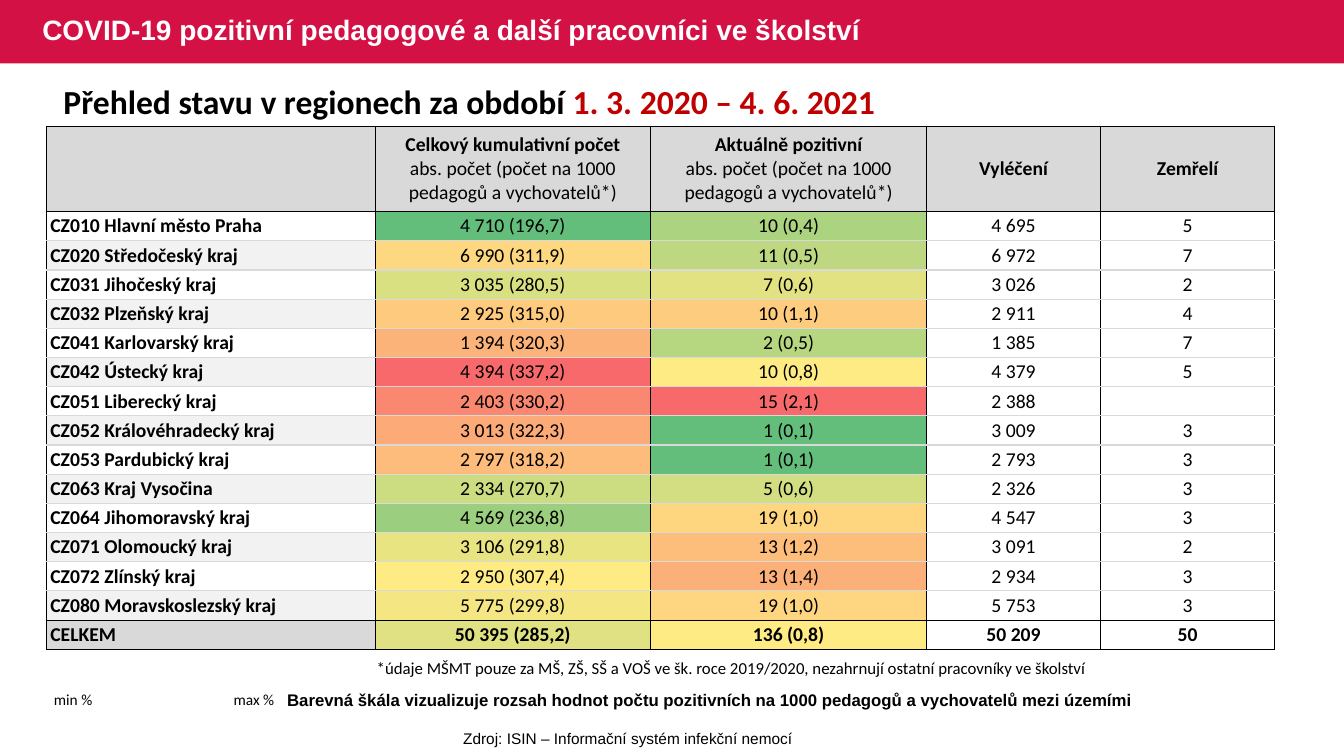
from lxml.etree import SubElement
from pptx import Presentation
from pptx.dml.color import RGBColor
from pptx.enum.shapes import MSO_SHAPE
from pptx.enum.text import MSO_ANCHOR, PP_ALIGN
from pptx.oxml.ns import qn
from pptx.util import Pt

COLORS = {
    "band": "D31145", "white": "FFFFFF", "black": "000000", "period": "C00000",
    "header": "D9D9D9", "stripe": "F2F2F2", "rule": "D9D9D9",
}
PLAIN_TABLE_STYLE = "{2D5ABB26-0587-4C30-8999-92F81FD0307C}"
HEADER_HEIGHT, ROW_HEIGHT = 61.2, 20.85
COLUMN_WIDTHS = [234.9, 197, 197, 124.3, 124.3]
RATE_NOTE = "abs. počet (počet na 1000 pedagogů a vychovatelů*)"
HEADERS = [
    [], ["Celkový kumulativní počet", RATE_NOTE], ["Aktuálně pozitivní", RATE_NOTE],
    ["Vyléčení"], ["Zemřelí"],
]
# Region, cumulative, currently positive, recovered, deceased, two scale colours
REGIONS = [
    ("CZ010 Hlavní město Praha", "4 710 (196,7)", "10 (0,4)", "4 695", "5", "63BE7B", "ACD37F"),
    ("CZ020 Středočeský kraj", "6 990 (311,9)", "11 (0,5)", "6 972", "7", "FED881", "BDD880"),
    ("CZ031 Jihočeský kraj", "3 035 (280,5)", "7 (0,6)", "3 026", "2", "D9E081", "E2E282"),
    ("CZ032 Plzeňský kraj", "2 925 (315,0)", "10 (1,1)", "2 911", "4", "FECA7E", "FECC7F"),
    ("CZ041 Karlovarský kraj", "1 394 (320,3)", "2 (0,5)", "1 385", "7", "FCB37A", "B6D67F"),
    ("CZ042 Ústecký kraj", "4 394 (337,2)", "10 (0,8)", "4 379", "5", "F8696B", "FFEB84"),
    ("CZ051 Liberecký kraj", "2 403 (330,2)", "15 (2,1)", "2 388", "", "FA8871", "F8696B"),
    ("CZ052 Královéhradecký kraj", "3 013 (322,3)", "1 (0,1)", "3 009", "3", "FCAA78", "63BE7B"),
    ("CZ053 Pardubický kraj", "2 797 (318,2)", "1 (0,1)", "2 793", "3", "FDBC7B", "64BE7B"),
    ("CZ063 Kraj Vysočina", "2 334 (270,7)", "5 (0,6)", "2 326", "3", "CBDC81", "D2DE81"),
    ("CZ064 Jihomoravský kraj", "4 569 (236,8)", "19 (1,0)", "4 547", "3", "9BCE7E", "FED680"),
    ("CZ071 Olomoucký kraj", "3 106 (291,8)", "13 (1,2)", "3 091", "2", "E9E482", "FDBE7C"),
    ("CZ072 Zlínský kraj", "2 950 (307,4)", "13 (1,4)", "2 934", "3", "FFEB84", "FCB079"),
    ("CZ080 Moravskoslezský kraj", "5 775 (299,8)", "19 (1,0)", "5 753", "3", "F4E783", "FED580"),
    ("CELKEM", "50 395 (285,2)", "136 (0,8)", "50 209", "50", "DFE182", "FFEB84"),
]


def style_font(font, name, size, color="black", bold=False):
    font.name, font.size, font.bold = name, Pt(size), bold
    font.color.rgb = RGBColor.from_string(COLORS[color])


def fill_with(item, color):
    item.fill.solid()
    item.fill.fore_color.rgb = RGBColor.from_string(color)


def add_title_band(slide, width, height):
    band = slide.shapes.add_shape(MSO_SHAPE.RECTANGLE, 0, 0, Pt(width), Pt(height))
    band.shadow.inherit = False
    fill_with(band, COLORS["band"])
    band.line.fill.background()
    slide.shapes._spTree.insert(2, band._element)

    title = slide.shapes.title
    title.left, title.top, title.width, title.height = Pt(23), Pt(0), Pt(613.4), Pt(height)
    frame = title.text_frame
    frame.text = "COVID-19 pozitivní pedagogové a další pracovníci ve školství"
    frame.vertical_anchor = MSO_ANCHOR.MIDDLE
    paragraph = frame.paragraphs[0]
    paragraph.alignment, paragraph.line_spacing = PP_ALIGN.LEFT, 0.9
    style_font(paragraph.font, "Arial", 20, "white", True)


def add_text(slide, box, text, name, size, bold=False, alignment=PP_ALIGN.LEFT):
    shape = slide.shapes.add_textbox(*map(Pt, box))
    shape.text_frame.word_wrap = True
    paragraph = shape.text_frame.paragraphs[0]
    paragraph.text = text
    paragraph.alignment = alignment
    style_font(paragraph.font, name, size, bold=bold)
    return shape


def add_scale_legend(slide, box):
    """Place the two ends of the scale at the sides of the box."""
    shape = slide.shapes.add_textbox(*map(Pt, box))
    frame = shape.text_frame
    frame.margin_left = frame.margin_right = Pt(5.5)
    frame.margin_top = frame.margin_bottom = 0
    paragraph = frame.paragraphs[0]
    paragraph.text = "min %\tmax %"
    tabs = SubElement(paragraph._p.get_or_add_pPr(), qn("a:tabLst"))
    SubElement(tabs, qn("a:tab"), pos=str(Pt(box[2] - 11)), algn="r")
    style_font(paragraph.font, "Calibri", 11)
    frame.word_wrap = True


def add_plain_table(slide, left, top, widths, heights):
    frame = slide.shapes.add_table(len(heights), len(widths), Pt(left), Pt(top),
                                   Pt(sum(widths)), Pt(sum(heights)))
    table = frame.table
    table.first_row = table.horz_banding = False
    table._tbl.tblPr.find(qn("a:tableStyleId")).text = PLAIN_TABLE_STYLE
    for column, width in zip(table.columns, widths):
        column.width = Pt(width)
    for row, height in zip(table.rows, heights):
        row.height = Pt(height)
    return table


def write_cell(cell, lines, bold_lines, alignment, margin):
    cell.margin_left = cell.margin_right = Pt(margin)
    cell.margin_top = cell.margin_bottom = 0
    cell.vertical_anchor = MSO_ANCHOR.MIDDLE
    cell.text = "\n".join(lines)
    for index, paragraph in enumerate(cell.text_frame.paragraphs):
        paragraph.alignment = alignment
        style_font(paragraph.font, "Calibri", 14, bold=index < bold_lines)
        if not paragraph.runs:
            SubElement(paragraph._p, qn("a:endParaRPr"), sz="1400")


def border_cell(cell, top_strong, bottom_strong):
    """Black hairlines at the sides, and above or below where strong."""
    properties = cell._tc.get_or_add_tcPr()
    for side, strong in zip("LRTB", (True, True, top_strong, bottom_strong)):
        line = SubElement(properties, qn(f"a:ln{side}"), w=str(Pt(0.5 if strong else 1)))
        solid = SubElement(line, qn("a:solidFill"))
        SubElement(solid, qn("a:srgbClr"), val=COLORS["black" if strong else "rule"])


def add_color_scale(slide, left, top):
    table = add_plain_table(slide, left, top, COLUMN_WIDTHS[1:3], [ROW_HEIGHT] * len(REGIONS))
    for row, region in enumerate(REGIONS):
        for column, color in enumerate(region[5:]):
            cell = table.cell(row, column)
            write_cell(cell, [], 0, PP_ALIGN.CENTER, 0.7)
            fill_with(cell, color)


def add_region_table(slide, left, top):
    last = len(REGIONS)
    table = add_plain_table(slide, left, top, COLUMN_WIDTHS, [HEADER_HEIGHT] + [ROW_HEIGHT] * last)
    rows = [HEADERS] + [[[text] for text in region[:5]] for region in REGIONS]
    for row, contents in enumerate(rows):
        for column, lines in enumerate(contents):
            cell = table.cell(row, column)
            is_label = column == 0
            write_cell(cell, lines, int(row in (0, last) or is_label),
                       PP_ALIGN.LEFT if is_label and row else PP_ALIGN.CENTER,
                       3 if is_label or row == 0 else 0.7)
            border_cell(cell, row in (0, 1, last), row in (0, last - 1, last))
            if row == 0 or (is_label and row == last):
                fill_with(cell, COLORS["header"])
            elif is_label and row % 2 == 0:
                fill_with(cell, COLORS["stripe"])
            else:
                cell.fill.background()


def add_region_overview(slide, left, top):
    add_color_scale(slide, left + COLUMN_WIDTHS[0], top + HEADER_HEIGHT)
    add_region_table(slide, left, top)


def add_heading(slide, box):
    shape = add_text(slide, box, "Přehled stavu v regionech za období ", "Calibri", 24, True)
    period = shape.text_frame.paragraphs[0].add_run()
    period.text = "1. 3. 2020 – 4. 6. 2021"
    period.font.color.rgb = RGBColor.from_string(COLORS["period"])


def add_notes_below(slide, left, top):
    add_text(slide, (left + 229, top, 639.4, 21.6),
             "*údaje MŠMT pouze za MŠ, ZŠ, SŠ a VOŠ ve šk. roce 2019/2020, "
             "nezahrnují ostatní pracovníky ve školství", "Calibri", 12)
    add_scale_legend(slide, (left, top + 26.6, 168.5, 13.7))
    add_text(slide, (left + 165, top + 23, 721.4, 21.6),
             "Barevná škála vizualizuje rozsah hodnot počtu pozitivních "
             "na 1000 pedagogů a vychovatelů mezi územími", "Arial", 12, True)
    add_text(slide, (left + 137, top + 51, 557.3, 20.6),
             "Zdroj: ISIN – Informační systém infekční nemocí", "Arial", 11,
             alignment=PP_ALIGN.CENTER)


def main():
    presentation = Presentation()
    presentation.slide_width, presentation.slide_height = Pt(960), Pt(540)
    slide = presentation.slides.add_slide(presentation.slide_layouts[5])
    add_title_band(slide, 960, 45.4)
    add_region_overview(slide, 33, 90)
    add_heading(slide, (38.2, 54, 743, 36))
    add_notes_below(slide, 33, 466)
    presentation.save("out.pptx")


if __name__ == "__main__":
    main()
